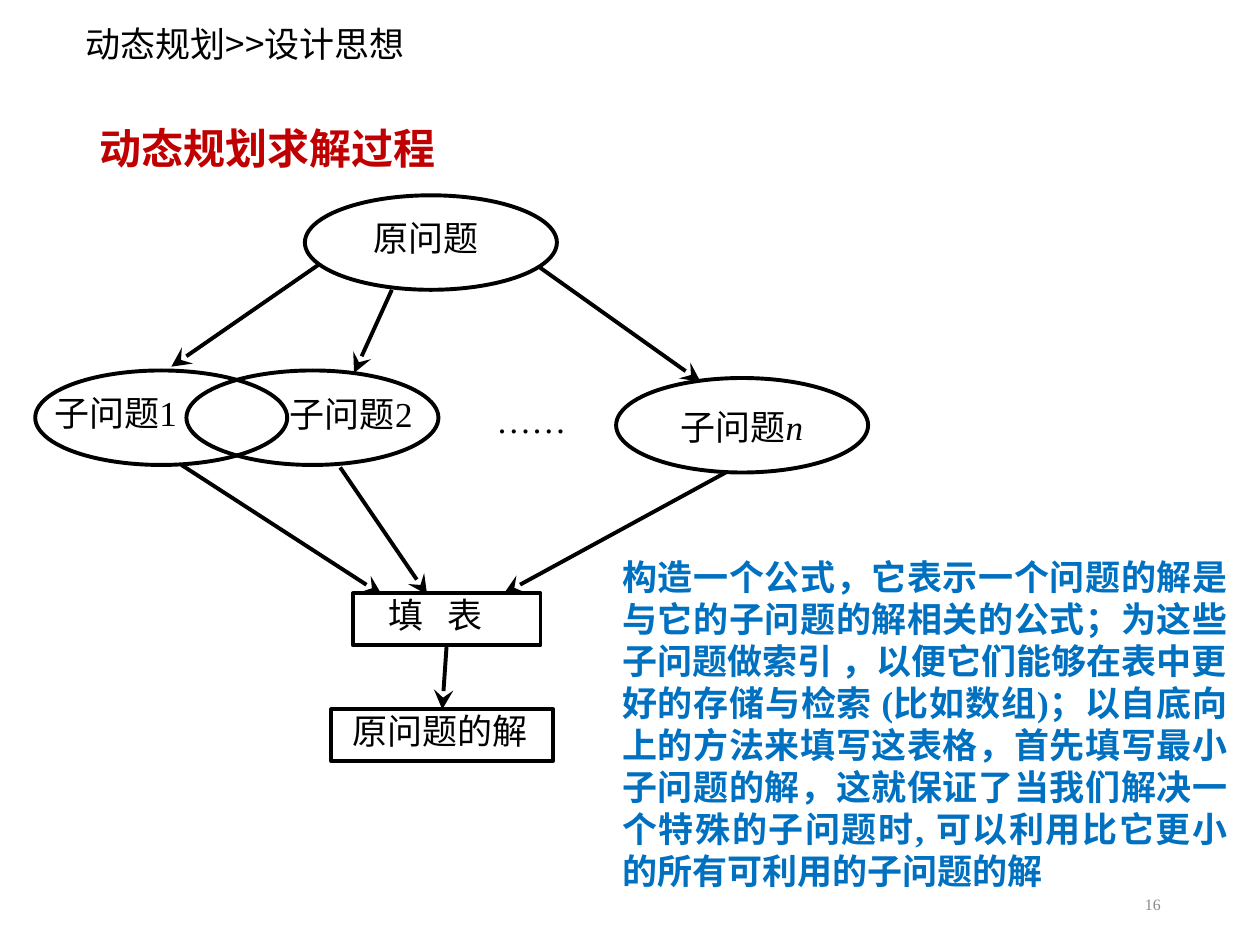
from pptx import Presentation
from pptx.dml.color import RGBColor
from pptx.enum.shapes import MSO_CONNECTOR, MSO_SHAPE
from pptx.enum.text import MSO_ANCHOR, MSO_AUTO_SIZE, PP_ALIGN
from pptx.oxml.ns import qn
from pptx.util import Inches, Pt
from lxml import etree

STRAIGHT = MSO_CONNECTOR.STRAIGHT
OVAL, RECTANGLE = MSO_SHAPE.OVAL, MSO_SHAPE.RECTANGLE
TOP, MIDDLE = MSO_ANCHOR.TOP, MSO_ANCHOR.MIDDLE
LEFT, CENTER, RIGHT, JUSTIFY = PP_ALIGN.LEFT, PP_ALIGN.CENTER, PP_ALIGN.RIGHT, PP_ALIGN.JUSTIFY
FIT_SHAPE = MSO_AUTO_SIZE.SHAPE_TO_FIT_TEXT

COLORS = {"black": "000000", "red": "C00000", "blue": "0070C0", "gray": "898989"}
SERIF, SANS = "Times New Roman", "Noto Sans CJK SC"
LINE_WIDTH = Pt(2.25)
BOX_INSETS = (0.1, 0.05, 0.1, 0.05)
ELLIPSE_SIZE = (2, 0.75)
LABEL_SIZE = (1.15, 0.27)

ELLIPSES = [(2.14, 0, "原问题"), (0, 1.39, ""), (1.2, 1.39, ""), (4.61, 1.45, "")]
LABELS = [
    (0.15, 1.62, ["子问题1"]),
    (2.02, 1.63, ["子问题2"]),
    (5.12, 1.73, ["子问题", "n"]),
]
ARROWS = [
    (2.25, 0.55, 1.08, 1.36),
    (2.83, 0.75, 2.53, 1.41),
    (4, 0.57, 5.28, 1.48),
    (1.16, 2.14, 2.75, 3.17),
    (2.42, 2.16, 3.11, 3.17),
    (5.48, 2.2, 3.72, 3.16),
]
EXPLANATION = (
    "构造一个公式，它表示一个问题的解是与它的子问题的解相关的公式；"
    "为这些子问题做索引 ，以便它们能够在表中更好的存储与检索 (比如数组)；"
    "以自底向上的方法来填写这表格，首先填写最小子问题的解，"
    "这就保证了当我们解决一个特殊的子问题时, 可以利用比它更小的所有可利用的子问题的解"
)


def write_text(shape, runs, size=20, font=SERIF, color="black", bold=False, align=LEFT,
               anchor=TOP, insets=(0, 0, 0, 0), spacing=None, fit=False,
               italic_last=False, tracking=0):
    frame = shape.text_frame
    frame.word_wrap = True
    frame.vertical_anchor = anchor
    if fit:
        frame.auto_size = FIT_SHAPE
    (frame.margin_left, frame.margin_top,
     frame.margin_right, frame.margin_bottom) = map(Inches, insets)
    paragraph = frame.paragraphs[0]
    paragraph.alignment = align
    if spacing:
        paragraph.line_spacing = spacing
    for text in runs:
        run = paragraph.add_run()
        run.text = text
        run.font.size = Pt(size)
        run.font.name = font
        run.font.bold = bold
        run.font.color.rgb = RGBColor.from_string(COLORS[color])
        properties = run.font._element
        etree.SubElement(properties, qn("a:ea")).set("typeface", SANS)
        if tracking:
            properties.set("spc", str(tracking))
    if italic_last:
        run.font.italic = True


def add_text(shapes, box, runs, **text_format):
    write_text(shapes.add_textbox(*map(Inches, box)), runs, **text_format)


def add_outline(shapes, kind, box, text="", **text_format):
    shape = shapes.add_shape(kind, *map(Inches, box))
    shape.shadow.inherit = False
    shape.fill.background()
    shape.line.color.rgb = RGBColor.from_string(COLORS["black"])
    shape.line.width = LINE_WIDTH
    if text:
        write_text(shape, [text], align=CENTER, **text_format)
    return shape


def add_arrow(shapes, ends):
    arrow = shapes.add_connector(STRAIGHT, *map(Inches, ends))
    arrow.line.color.rgb = RGBColor.from_string(COLORS["black"])
    arrow.line.width = LINE_WIDTH
    head = etree.SubElement(arrow.line._get_or_add_ln(), qn("a:tailEnd"))
    for name, value in (("type", "stealth"), ("w", "lg"), ("len", "lg")):
        head.set(name, value)
    etree.SubElement(arrow._element.spPr, qn("a:effectLst"))
    return arrow


def add_headings(slide, left, top):
    add_text(slide.shapes, (left, top, 3.1, 0.57), ["动态规划>>设计思想"],
             font=SANS, insets=BOX_INSETS, spacing=1.4, fit=True)
    add_text(slide.shapes, (left + 0.11, top + 0.92, 3.1, 0.5), ["动态规划求解过程"],
             size=24, font=SANS, color="red", bold=True, insets=BOX_INSETS, fit=True)


def add_diagram(slide, left, top):
    shapes = slide.shapes.add_group_shape().shapes
    for x, y, text in ELLIPSES:
        add_outline(shapes, OVAL, (left + x, top + y, *ELLIPSE_SIZE), text,
                    anchor=MIDDLE, insets=(0, 0, 0.08, 0.08))
    for x, y, runs in LABELS:
        add_text(shapes, (left + x, top + y, *LABEL_SIZE), runs,
                 spacing=0.8, italic_last=len(runs) > 1)
    add_text(shapes, (left + 3.62, top + 1.61, 0.85, 0.41), ["……"],
             insets=(0.04, 0, 0.04, 0.01))
    table = add_outline(shapes, RECTANGLE, (left + 2.52, top + 3.16, 1.49, 0.41), "填 表",
                        insets=(0, 0, 0.18, 0.01), tracking=475)
    solution = add_outline(shapes, RECTANGLE, (left + 2.35, top + 4.08, 1.76, 0.41),
                           "原问题的解", insets=(0, 0, 0.04, 0.01))
    for x1, y1, x2, y2 in ARROWS:
        add_arrow(shapes, (left + x1, top + y1, left + x2, top + y2))
    final_arrow = add_arrow(shapes, (left + 3.26, top + 3.57, left + 3.23, top + 4.08))
    final_arrow.begin_connect(table, 2)
    final_arrow.end_connect(solution, 0)


def add_explanation(slide, box):
    add_text(slide.shapes, box, [EXPLANATION], color="blue", bold=True,
             align=JUSTIFY, insets=BOX_INSETS, fit=True)


def add_page_number(slide, box):
    add_text(slide.shapes, box, ["16"], size=9, color="gray", align=RIGHT,
             anchor=MIDDLE, insets=BOX_INSETS, spacing=1.4)


def main():
    presentation = Presentation()
    presentation.slide_width, presentation.slide_height = Inches(10), Inches(7.5)
    slide = presentation.slides.add_slide(presentation.slide_layouts[6])
    add_page_number(slide, (7.06, 6.95, 2.25, 0.4))
    add_diagram(slide, 0.28, 1.55)
    add_headings(slide, 0.58, 0)
    add_explanation(slide, (4.84, 4.36, 5, 2.77))
    presentation.save("out.pptx")


if __name__ == "__main__":
    main()
